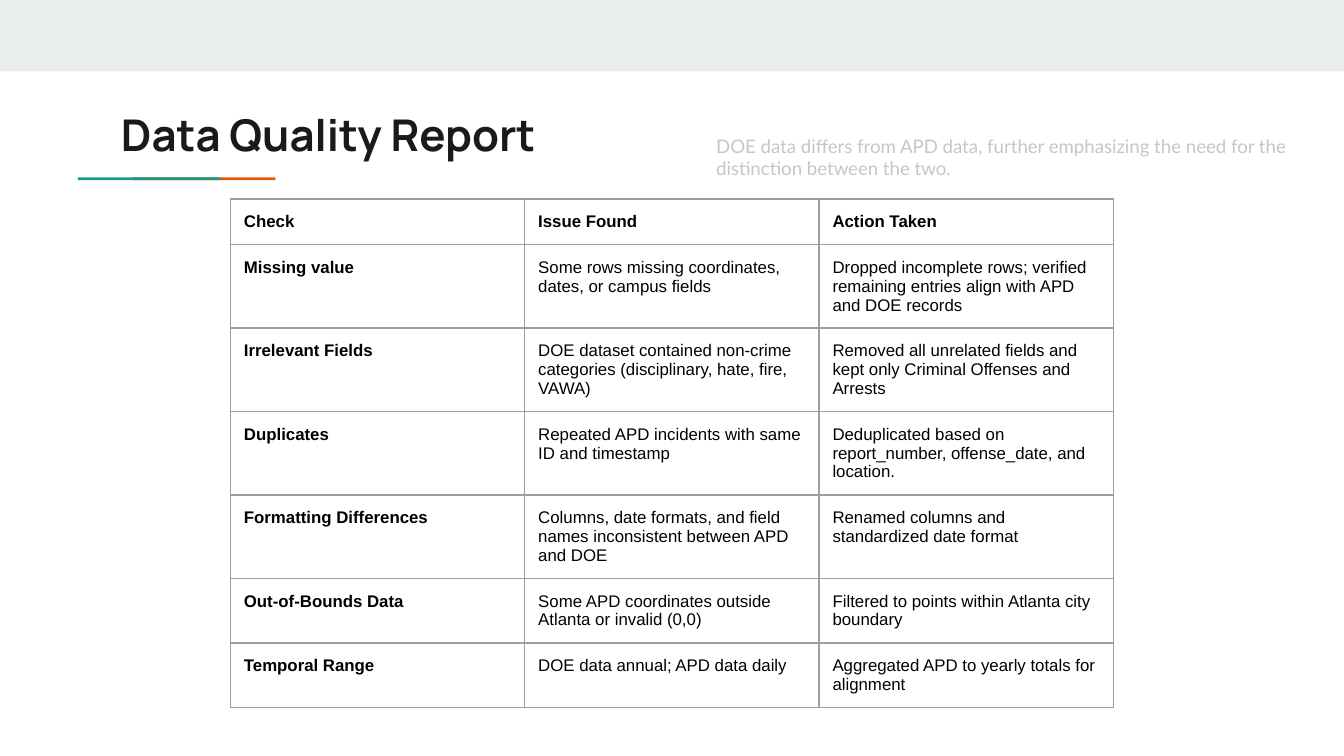
from lxml import etree
from pptx import Presentation
from pptx.dml.color import RGBColor
from pptx.enum.shapes import MSO_SHAPE
from pptx.enum.text import MSO_ANCHOR, MSO_AUTO_SIZE, PP_ALIGN
from pptx.oxml.ns import qn
from pptx.util import Inches, Pt

RECT = MSO_SHAPE.RECTANGLE
TOP = MSO_ANCHOR.TOP
LEFT = PP_ALIGN.LEFT
NO_AUTOFIT = MSO_AUTO_SIZE.NONE

BAND = RGBColor(0xE9, 0xED, 0xEE)
TEAL = RGBColor(0x1A, 0x99, 0x88)
ORANGE = RGBColor(0xEB, 0x56, 0x00)
INK = RGBColor(0x1A, 0x1A, 0x1A)
BLACK = RGBColor(0x00, 0x00, 0x00)
PALE = RGBColor(0xC5, 0xC7, 0xC5)
BORDER = RGBColor(0x9E, 0x9E, 0x9E)

SLIDE_WIDTH = 10
SLIDE_HEIGHT = SLIDE_WIDTH * 9 / 16
COLUMN_WIDTH = 2.19
ROW_HEIGHTS = [0.34] + [0.62] * 4 + [0.48] * 2
CHECKS = [
    ("Check", "Issue Found", "Action Taken"),
    ("Missing value",
     "Some rows missing coordinates, dates, or campus fields",
     "Dropped incomplete rows; verified remaining entries align with APD and DOE records"),
    ("Irrelevant Fields",
     "DOE dataset contained non-crime categories (disciplinary, hate, fire, VAWA)",
     "Removed all unrelated fields and kept only Criminal Offenses and Arrests"),
    ("Duplicates",
     "Repeated APD incidents with same ID and timestamp",
     "Deduplicated based on report_number, offense_date, and location."),
    ("Formatting Differences",
     "Columns, date formats, and field names inconsistent between APD and DOE",
     "Renamed columns and standardized date format"),
    ("Out-of-Bounds Data",
     "Some APD coordinates outside Atlanta or invalid (0,0)",
     "Filtered to points within Atlanta city boundary"),
    ("Temporal Range",
     "DOE data annual; APD data daily",
     "Aggregated APD to yearly totals for alignment"),
]


def add_bar(s, left, top, width, height, color):
    sp = s.shapes.add_shape(RECT, Inches(left), Inches(top), Inches(width), Inches(height))
    sp.shadow.inherit = False
    sp.fill.solid()
    sp.fill.fore_color.rgb = color
    sp.line.fill.background()


def set_insets(target):
    target.margin_left = target.margin_right = Inches(0.1)
    target.margin_top = target.margin_bottom = Inches(0.1)


def write_text(tf, text, size, font, color, bold=False):
    p = tf.paragraphs[0]
    p.alignment = LEFT
    r = p.add_run()
    r.text = text
    r.font.size = Pt(size)
    r.font.name = font
    r.font.bold = bold
    r.font.color.rgb = color


def format_frame(tf):
    set_insets(tf)
    tf.word_wrap = True
    tf.auto_size = NO_AUTOFIT
    tf.vertical_anchor = TOP


def set_title(s, text):
    sp = s.shapes.title
    sp.left, sp.top = Inches(0.8), Inches(0.7)
    sp.width, sp.height = Inches(8.41), Inches(0.59)
    format_frame(sp.text_frame)
    write_text(sp.text_frame, text, 23.4, "Manrope", INK, True)


def add_note(s, text):
    sp = s.shapes.add_textbox(Inches(5.23), Inches(0.9), Inches(4.68), Inches(0.48))
    format_frame(sp.text_frame)
    write_text(sp.text_frame, text, 10, "Lato", PALE)


def add_borders(cell):
    tc_pr = cell._tc.get_or_add_tcPr()
    for i, side in enumerate(("a:lnL", "a:lnR", "a:lnT", "a:lnB")):
        ln = etree.Element(qn(side), w=str(Pt(0.75)))
        fill = etree.SubElement(ln, qn("a:solidFill"))
        etree.SubElement(fill, qn("a:srgbClr"), val=str(BORDER))
        tc_pr.insert(i, ln)


def add_check_table(s):
    columns = len(CHECKS[0])
    width = COLUMN_WIDTH * columns
    frame = s.shapes.add_table(len(CHECKS), columns,
                               Inches((SLIDE_WIDTH - width) / 2), Inches(1.48),
                               Inches(width), Inches(sum(ROW_HEIGHTS)))
    table = frame.table
    table.first_row = table.horz_banding = False
    for column in table.columns:
        column.width = Inches(COLUMN_WIDTH)
    for i, (row, height) in enumerate(zip(CHECKS, ROW_HEIGHTS)):
        table.rows[i].height = Inches(height)
        for j, text in enumerate(row):
            cell = table.cell(i, j)
            set_insets(cell)
            cell.vertical_anchor = TOP
            cell.fill.background()
            add_borders(cell)
            write_text(cell.text_frame, text, 9, "Arial", BLACK, i == 0 or j == 0)


def main():
    prs = Presentation()
    prs.slide_width, prs.slide_height = Inches(SLIDE_WIDTH), Inches(SLIDE_HEIGHT)
    s = prs.slides.add_slide(prs.slide_layouts[5])
    add_bar(s, 0, 0, SLIDE_WIDTH, 0.53, BAND)
    add_bar(s, 0.99, 1.32, 1.06, 0.02, ORANGE)
    add_bar(s, 0.58, 1.32, 1.06, 0.02, TEAL)
    set_title(s, "Data Quality Report")
    add_check_table(s)
    add_note(s, "DOE data differs from APD data, further emphasizing the need "
                "for the distinction between the two.")
    prs.save("out.pptx")


if __name__ == "__main__":
    main()
